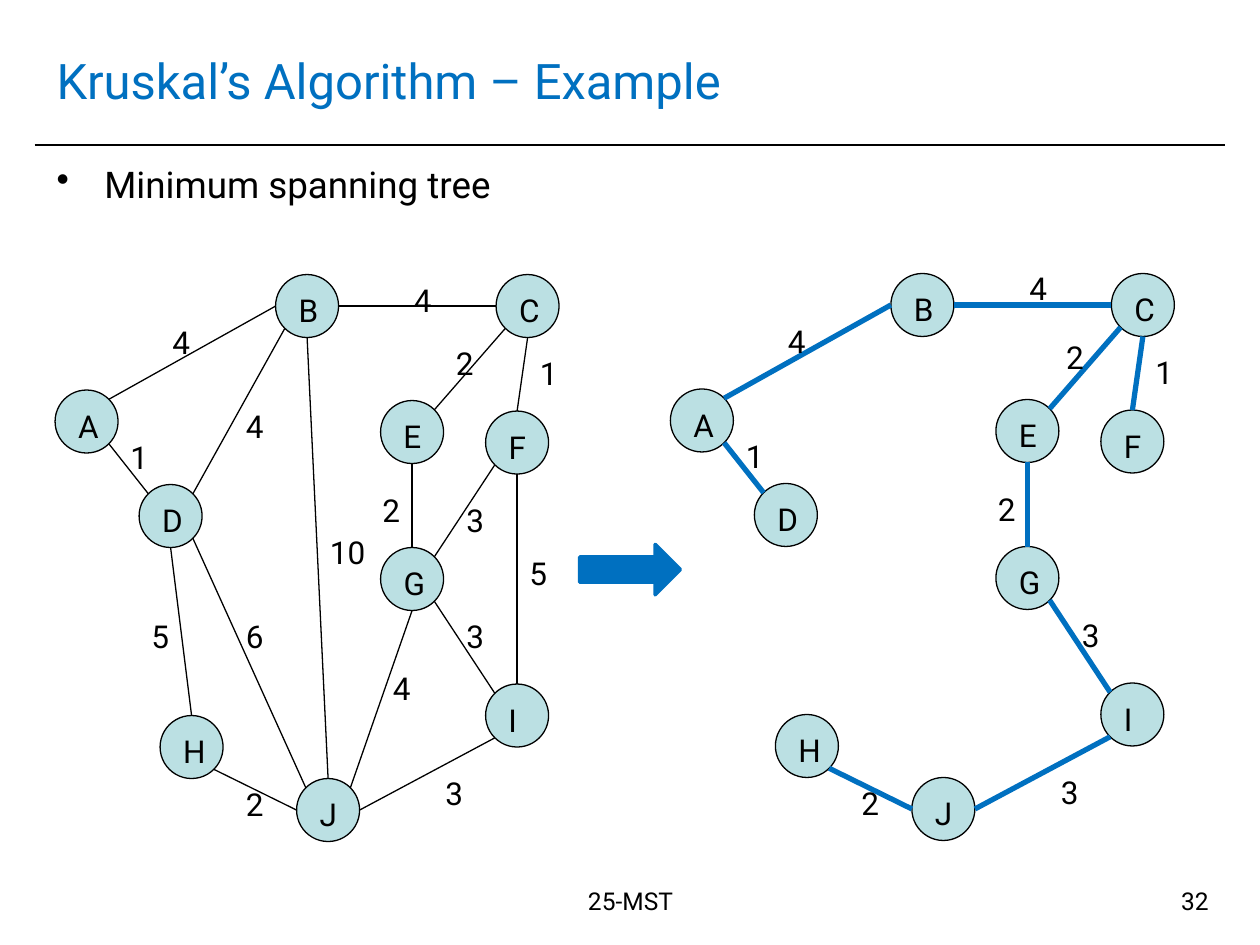
"""Build the slide that sets a weighted graph beside its minimum spanning tree."""
import dataclasses
import math
from typing import Any

import lxml.etree
import pptx
import pptx.dml.color
import pptx.enum.shapes
import pptx.enum.text
import pptx.oxml.ns
import pptx.util

RGB = pptx.dml.color.RGBColor
Align = pptx.enum.text.PP_ALIGN
Anchor = pptx.enum.text.MSO_ANCHOR
Shape = pptx.enum.shapes.MSO_SHAPE
BLUE = RGB(0x00, 0x70, 0xC0)
BLACK = RGB(0x00, 0x00, 0x00)
NODE_FILL = RGB(0xBB, 0xE0, 0xE3)
FONT = "Roboto"
COLS, ROWS = 120, 90
WIDTH, HEIGHT = pptx.util.Inches(10), pptx.util.Inches(7.5)
DIAMETER = 6
LABEL_HEIGHT = 4.8
COMPASS = ("E", "SE", "S", "SW", "W", "NW", "N", "NE")


@dataclasses.dataclass(frozen=True)
class Node:
    """A named vertex: its cell in the graph and the width of its letter box."""
    name: str
    col: float
    row: float
    width: float


@dataclasses.dataclass(frozen=True)
class Edge:
    """A weighted link between compass points of two nodes."""
    ends: str
    start: str
    stop: str
    weight: str
    col: float
    row: float


NODES = (
    Node("A", 0, 11, 4.2), Node("B", 21, 0, 4.2), Node("C", 42, 0, 4.2),
    Node("D", 8, 20, 4.4), Node("E", 31, 12, 4.1), Node("F", 41, 13, 4),
    Node("G", 31, 26, 4.4), Node("H", 10, 42, 4.4), Node("I", 41, 39, 3.6),
    Node("J", 23, 48, 3.7),
)
SHARED = (
    Edge("AB", "NE", "W", "4", 10, 4), Edge("DA", "NW", "SE", "1", 6, 15),
    Edge("CF", "S", "N", "1", 45, 7), Edge("EG", "S", "N", "2", 30, 20),
    Edge("IG", "NW", "SE", "3", 38, 32), Edge("JI", "E", "SW", "3", 36, 47),
    Edge("JH", "W", "SE", "2", 17, 48),
)
GRAPH = SHARED + (
    Edge("BC", "E", "W", "4", 33, 0), Edge("CE", "SW", "NE", "2", 37, 6),
    Edge("BD", "SW", "NE", "4", 17, 12), Edge("BJ", "S", "N", "10", 25, 24),
    Edge("DH", "S", "N", "5", 8, 32), Edge("DJ", "SE", "NW", "6", 17, 32),
    Edge("FG", "SW", "NE", "3", 38, 21), Edge("FI", "S", "N", "5", 44, 26),
    Edge("JG", "NE", "S", "4", 31, 37),
)
TREE = SHARED + (
    Edge("BC", "E", "W", "4", 33, -1), Edge("CE", "SW", "NE", "2", 36.5, 5.6),
)


def x(cols: float) -> int:
    """Turn grid columns into a length."""
    return round(WIDTH * cols / COLS)


def y(rows: float) -> int:
    """Turn grid rows into a length."""
    return round(HEIGHT * rows / ROWS)


def add_text(shapes: Any, text: str, col: float, row: float, width: float, height: float, *,
             size: float = 18, color: RGB = BLACK, align: Align = Align.LEFT,
             anchor: Anchor = Anchor.TOP, wrap: bool = True, bullet: str = "") -> None:
    """Add a text box with one formatted paragraph."""
    tf = shapes.add_textbox(x(col), y(row), x(width), y(height)).text_frame
    tf.word_wrap = wrap
    tf.vertical_anchor = anchor
    if not wrap:
        tf.auto_size = pptx.enum.text.MSO_AUTO_SIZE.SHAPE_TO_FIT_TEXT
    p = tf.paragraphs[0]
    p.alignment = align
    if bullet:
        pPr = p._p.get_or_add_pPr()
        indent = pptx.util.Inches(0.38)
        pPr.set("marL", str(indent))
        pPr.set("indent", str(-indent))
        lxml.etree.SubElement(pPr, pptx.oxml.ns.qn("a:buChar")).set("char", bullet)
    r = p.add_run()
    r.text = text
    r.font.name = FONT
    r.font.size = pptx.util.Pt(size)
    r.font.color.rgb = color


def add_line(shapes: Any, start: tuple[float, float], stop: tuple[float, float],
             color: RGB, weight: float) -> None:
    """Add a straight line between two grid points."""
    s = shapes.add_connector(pptx.enum.shapes.MSO_CONNECTOR.STRAIGHT,
                             x(start[0]), y(start[1]), x(stop[0]), y(stop[1]))
    s.line.color.rgb = color
    s.line.width = pptx.util.Pt(weight)
    lxml.etree.SubElement(s._element.spPr, pptx.oxml.ns.qn("a:effectLst"))


def add_shape(shapes: Any, kind: Shape, col: float, row: float, width: float, height: float,
              fill: RGB, line: RGB, weight: float) -> None:
    """Add a filled and outlined preset shape."""
    s = shapes.add_shape(kind, x(col), y(row), x(width), y(height))
    s.shadow.inherit = False
    s.fill.solid()
    s.fill.fore_color.rgb = fill
    s.line.color.rgb = line
    s.line.width = pptx.util.Pt(weight)


def rim_point(node: Node, side: str, left: float, top: float) -> tuple[float, float]:
    """Find a compass point on the rim of a node."""
    angle = COMPASS.index(side) * math.pi / 4
    radius = DIAMETER / 2
    return (left + node.col + radius * (1 + math.cos(angle)),
            top + node.row + radius * (1 + math.sin(angle)))


def draw_graph(slide: Any, left: float, top: float, edges: tuple[Edge, ...],
               color: RGB, weight: float) -> None:
    """Draw all nodes and the given edges as one group."""
    shapes = slide.shapes.add_group_shape().shapes
    nodes = {node.name: node for node in NODES}
    for node in NODES:
        add_shape(shapes, Shape.OVAL, left + node.col, top + node.row,
                  DIAMETER, DIAMETER, NODE_FILL, BLACK, 0.75)
    for edge in edges:
        a, b = (nodes[name] for name in edge.ends)
        add_line(shapes, rim_point(a, edge.start, left, top),
                 rim_point(b, edge.stop, left, top), color, weight)
    for edge in edges:
        add_text(shapes, edge.weight, left + edge.col, top + edge.row,
                 2.4 + 1.7 * len(edge.weight), LABEL_HEIGHT, wrap=False)
    for node in NODES:
        add_text(shapes, node.name, left + node.col + 1, top + node.row + 1,
                 node.width, LABEL_HEIGHT, wrap=False)


def main() -> None:
    """Build and save the slide."""
    prs = pptx.Presentation()
    prs.slide_width, prs.slide_height = WIDTH, HEIGHT
    slide = prs.slides.add_slide(prs.slide_layouts[6])
    shapes = slide.shapes
    add_line(shapes, (3.3, 13.8), (116.7, 13.8), BLACK, 1)
    add_text(shapes, "Kruskal’s Algorithm – Example", 4.2, 2.5, 111.5, 10.2,
             size=28, color=BLUE, anchor=Anchor.MIDDLE)
    add_text(shapes, "Minimum spanning tree", 4.2, 14.8, 111.5, 67, size=21, bullet="•")
    add_text(shapes, "25-MST", 40.2, 83.8, 39.7, 6.2, size=14, align=Align.CENTER)
    add_text(shapes, "32", 88.3, 83.8, 28, 6.2, size=14, align=Align.RIGHT)
    draw_graph(slide, 63.85, 26.05, TREE, BLUE, 3)
    add_shape(shapes, Shape.RIGHT_ARROW, 55.2, 51.85, 9.6, 4.8, BLUE, BLUE, 2)
    draw_graph(slide, 5.25, 26.15, GRAPH, BLACK, 0.75)
    prs.save("out.pptx")


if __name__ == "__main__":
    main()
